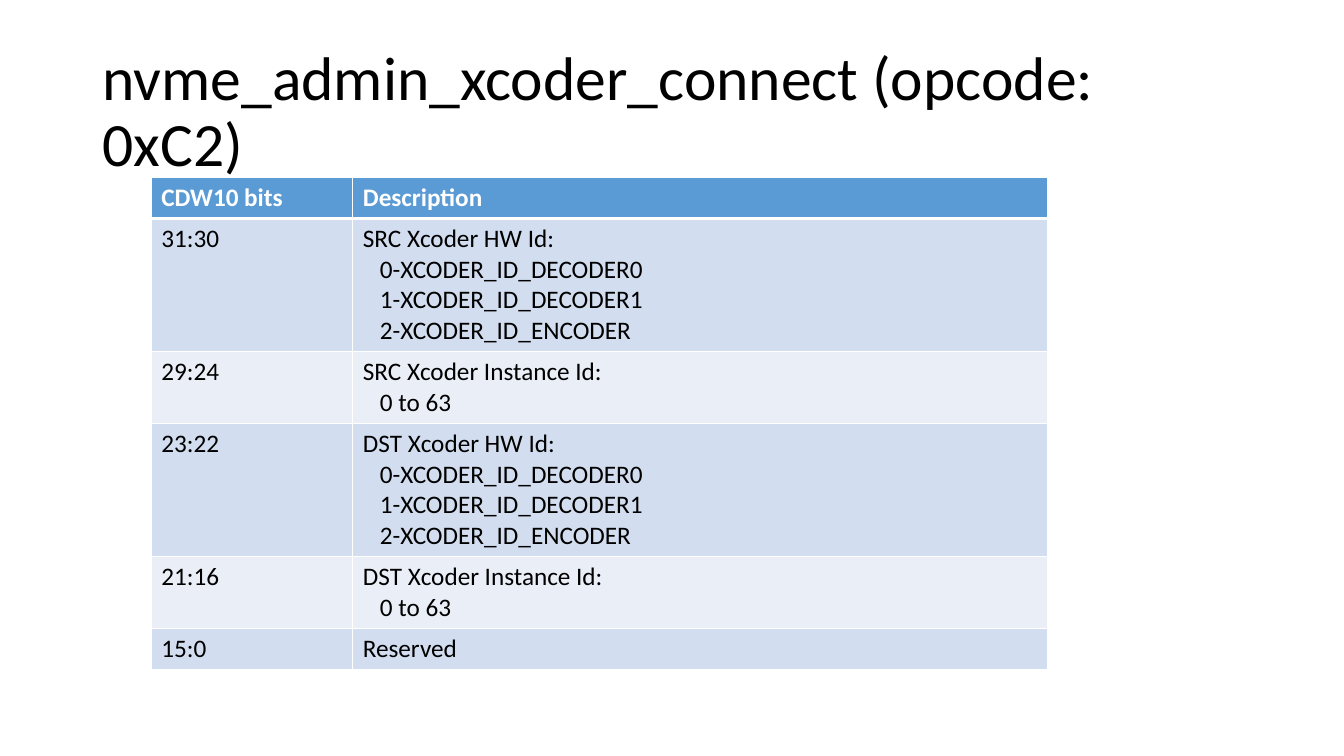
"""Build the slide describing the command bits of nvme_admin_xcoder_connect."""
from typing import Any, NamedTuple

from lxml import etree
from pptx import Presentation
from pptx import util as u
from pptx.dml import color
from pptx.enum import text
from pptx.oxml import ns

COLORS = {"ink": "000000", "paper": "FFFFFF", "header": "5B9BD5",
          "odd_band": "D2DEEF", "even_band": "EAEFF7"}
LINE_HEIGHT, ROW_PADDING = 22, 7.2
OPTION_INDENT = u.Pt(12.2)
BIT_WIDTH, DESCRIPTION_WIDTH = 144, 496


class BitField(NamedTuple):
    bits: str
    description: str
    options: tuple[str, ...] = ()


class RowLook(NamedTuple):
    fill: str
    ink: str
    bold: bool
    bottom_border: float


XCODERS = ("0-XCODER_ID_DECODER0", "1-XCODER_ID_DECODER1", "2-XCODER_ID_ENCODER")
INSTANCES = ("0 to 63",)
HEADING = BitField("CDW10 bits", "Description")
FIELDS = (
    BitField("31:30", "SRC Xcoder HW Id:", XCODERS),
    BitField("29:24", "SRC Xcoder Instance Id:", INSTANCES),
    BitField("23:22", "DST Xcoder HW Id:", XCODERS),
    BitField("21:16", "DST Xcoder Instance Id:", INSTANCES),
    BitField("15:0", "Reserved"),
)
HEADING_LOOK = RowLook("header", "paper", True, 3)
BAND_LOOKS = (RowLook("odd_band", "ink", False, 1),
              RowLook("even_band", "ink", False, 1))


def apply(target: Any, values: dict[str, Any]) -> None:
    for name, value in values.items():
        setattr(target, name, value)


def style_font(font: Any, size: float, ink: str, bold: bool) -> None:
    apply(font, {"name": "Calibri", "size": u.Pt(size), "bold": bold})
    font.color.rgb = color.RGBColor.from_string(COLORS[ink])


def draw_borders(cell: Any, top: float, bottom: float) -> None:
    properties = cell._tc.get_or_add_tcPr()
    for side, width in {"lnL": 1, "lnR": 1, "lnT": top, "lnB": bottom}.items():
        border = etree.SubElement(properties, ns.qn(f"a:{side}"), w=str(u.Pt(width)))
        paint = etree.SubElement(border, ns.qn("a:solidFill"))
        etree.SubElement(paint, ns.qn("a:srgbClr"), val=COLORS["paper"])


def fill_cell(cell: Any, lines: tuple[str, ...], look: RowLook, top: float) -> None:
    draw_borders(cell, top, look.bottom_border)
    cell.fill.solid()
    cell.fill.fore_color.rgb = color.RGBColor.from_string(COLORS[look.fill])
    cell.text_frame.text = "\n".join(lines)
    for position, paragraph in enumerate(cell.text_frame.paragraphs):
        style_font(paragraph.runs[0].font, 18, look.ink, look.bold)
        if position:
            paragraph._p.get_or_add_pPr().set("marL", str(OPTION_INDENT))


def add_title(slide: Any) -> None:
    title = slide.shapes.title
    apply(title, {"left": u.Pt(66), "top": u.Pt(28.75),
                  "width": u.Pt(828), "height": u.Pt(104.4)})
    apply(title.text_frame, {"text": "nvme_admin_xcoder_connect (opcode: 0xC2)",
                             "word_wrap": True,
                             "auto_size": text.MSO_AUTO_SIZE.NONE,
                             "vertical_anchor": text.MSO_ANCHOR.MIDDLE})
    heading = title.text_frame.paragraphs[0]
    apply(heading, {"alignment": text.PP_ALIGN.LEFT, "line_spacing": 0.9})
    style_font(heading.runs[0].font, 44, "ink", False)


def add_bit_table(slide: Any) -> None:
    rows = (HEADING, *FIELDS)
    heights = [LINE_HEIGHT * (1 + len(field.options)) + ROW_PADDING for field in rows]
    table = slide.shapes.add_table(
        len(rows), 2, u.Pt(108), u.Pt(126.8),
        u.Pt(BIT_WIDTH + DESCRIPTION_WIDTH), u.Pt(sum(heights))).table
    for column, width in zip(table.columns, (BIT_WIDTH, DESCRIPTION_WIDTH)):
        column.width = u.Pt(width)
    top = 1
    for index, (field, height) in enumerate(zip(rows, heights)):
        look = BAND_LOOKS[(index - 1) % 2] if index else HEADING_LOOK
        table.rows[index].height = u.Pt(height)
        fill_cell(table.cell(index, 0), (field.bits,), look, top)
        fill_cell(table.cell(index, 1), (field.description, *field.options), look, top)
        top = look.bottom_border


def main() -> None:
    deck = Presentation()
    apply(deck, {"slide_width": u.Pt(960), "slide_height": u.Pt(540)})
    slide = deck.slides.add_slide(deck.slide_layouts.get_by_name("Title Only"))
    add_title(slide)
    add_bit_table(slide)
    deck.save("out.pptx")


main()
